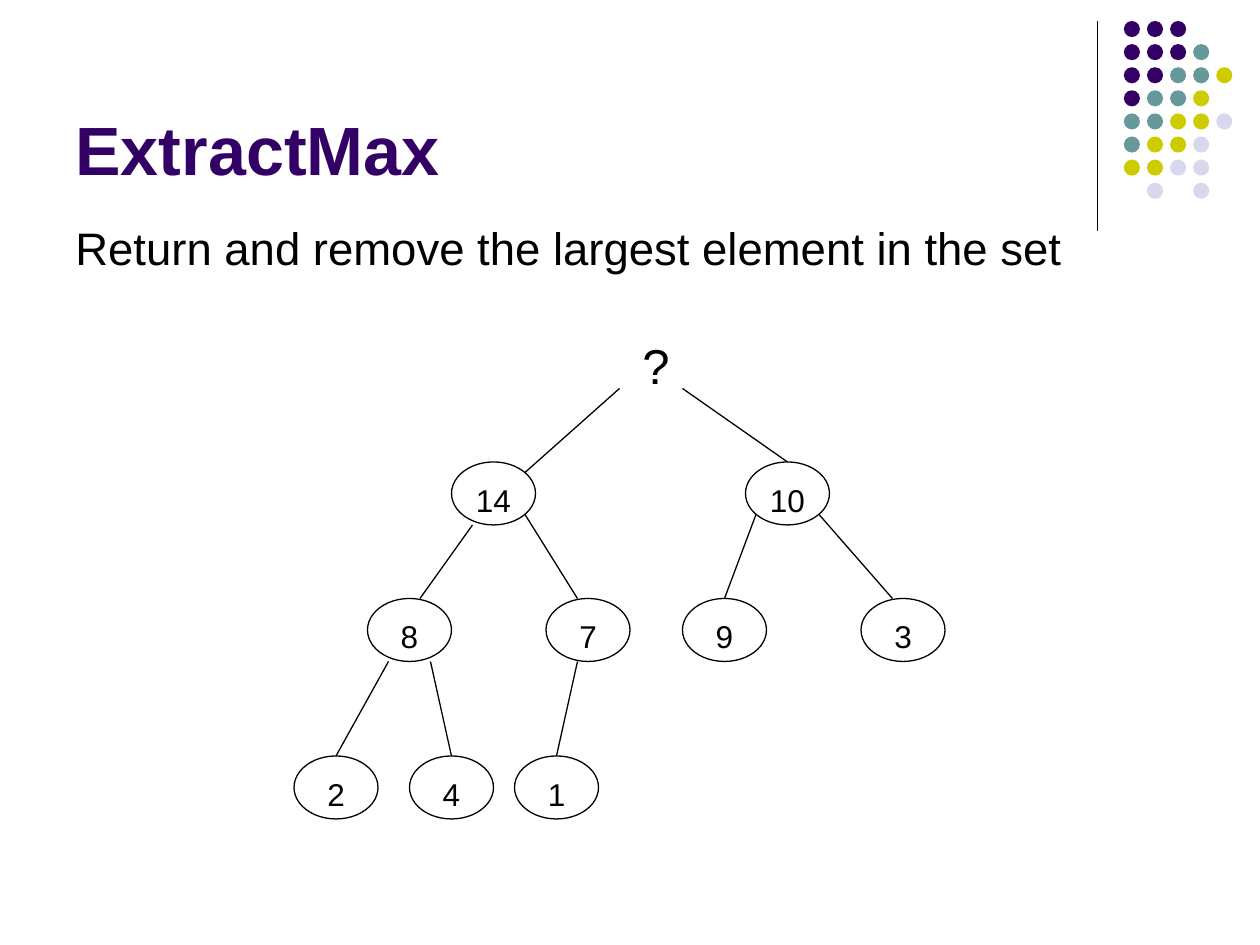
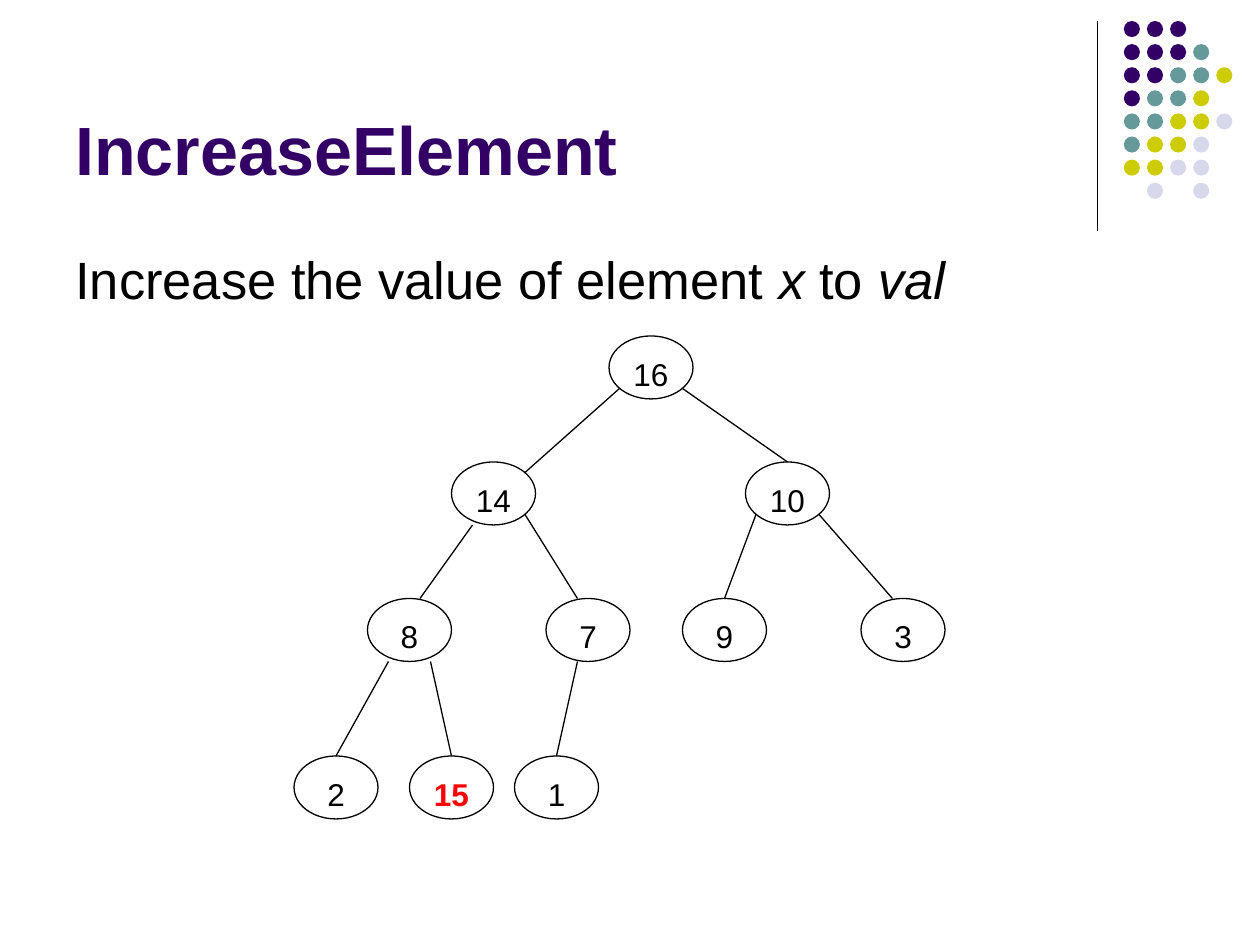
from dataclasses import dataclass

from lxml import etree
from pptx import Presentation
from pptx.dml.color import RGBColor
from pptx.enum.shapes import MSO_CONNECTOR, MSO_SHAPE
from pptx.enum.text import MSO_ANCHOR, PP_ALIGN
from pptx.oxml.ns import qn
from pptx.slide import Slide
from pptx.text.text import TextFrame
from pptx.util import Pt

OVAL = MSO_SHAPE.OVAL
STRAIGHT = MSO_CONNECTOR.STRAIGHT
TOP, MIDDLE, BOTTOM = MSO_ANCHOR.TOP, MSO_ANCHOR.MIDDLE, MSO_ANCHOR.BOTTOM
LEFT, CENTER = PP_ALIGN.LEFT, PP_ALIGN.CENTER


@dataclass(frozen=True)
class Theme:
    font: str = "Arial"
    purple: RGBColor = RGBColor(0x33, 0x00, 0x66)
    teal: RGBColor = RGBColor(0x66, 0x99, 0x99)
    olive: RGBColor = RGBColor(0xCC, 0xCC, 0x00)
    lavender: RGBColor = RGBColor(0xD8, 0xD8, 0xEC)
    ink: RGBColor = RGBColor(0x00, 0x00, 0x00)
    highlight: RGBColor = RGBColor(0xFF, 0x00, 0x00)
    title_size: float = 39
    unknown_size: float = 28
    node_size: float = 18
    line_width: float = 0.75


@dataclass(frozen=True)
class Box:
    left: float
    top: float
    width: float
    height: float

    def lengths(self) -> tuple[Pt, Pt, Pt, Pt]:
        return Pt(self.left), Pt(self.top), Pt(self.width), Pt(self.height)


@dataclass(frozen=True)
class Edge:
    x1: float
    y1: float
    x2: float
    y2: float


@dataclass(frozen=True)
class Phrase:
    text: str
    italic: bool = False


@dataclass(frozen=True)
class HeapSlide:
    title: str
    phrases: list[Phrase]
    phrase_size: float
    phrase_box: Box
    keys: list[str]
    changed: int | None = None


THEME = Theme()
TITLE_BOX = Box(36, 9.6, 639, 102)
UNKNOWN_BOX = Box(360, 186, 54, 41)
DIVIDER = Edge(627, 12, 627, 132)
UNKNOWN = "?"

DOT_ROWS = ["PPP", "PPPT", "PPTTY", "PTTY", "TTYYL", "TYYL", "YYLL", " L L"]
DOT_COLORS = {"P": THEME.purple, "T": THEME.teal,
              "Y": THEME.olive, "L": THEME.lavender}
DOT_LEFT, DOT_TOP, DOT_PITCH, DOT_SIZE = 642.2, 12, 13.2, 9.2

NODE_WIDTH, NODE_HEIGHT = 48, 36
# Top of each tree level, with the left edges of its nodes
LEVELS = {192: [348], 264: [258, 426], 342: [210, 312, 390, 492],
          432: [168, 234, 294]}
NODE_BOXES = [Box(left, top, NODE_WIDTH, NODE_HEIGHT)
              for top, lefts in LEVELS.items() for left in lefts]
EDGES = [
    Edge(354, 222, 300, 270), Edge(390, 222, 450, 264),
    Edge(270, 300, 240, 342), Edge(300, 294, 330, 342),
    Edge(432, 294, 414, 342), Edge(468, 294, 510, 342),
    Edge(222, 378, 192, 432), Edge(246, 378, 258, 432),
    Edge(330, 378, 318, 432),
]

SLIDES = [
    HeapSlide("ExtractMax",
              [Phrase("Return and remove the largest element in the set")],
              26, Box(36, 120, 648, 48),
              [UNKNOWN, "14", "10", "8", "7", "9", "3", "2", "4", "1"]),
    HeapSlide("IncreaseElement",
              [Phrase("Increase the value of element "), Phrase("x", True),
               Phrase(" to "), Phrase("val", True)],
              30, Box(36, 135, 648, 45),
              ["16", "14", "10", "8", "7", "9", "3", "2", "15", "1"],
              changed=8),
]


def write(frame: TextFrame, phrases: list[Phrase], size: float,
          color: RGBColor = THEME.ink, bold: bool = False,
          align: PP_ALIGN = LEFT) -> None:
    paragraph = frame.paragraphs[0]
    paragraph.alignment = align
    for phrase in phrases:
        run = paragraph.add_run()
        run.text = phrase.text
        run.font.name = THEME.font
        run.font.size = Pt(size)
        run.font.color.rgb = color
        run.font.bold = bold
        run.font.italic = phrase.italic


def add_text(slide: Slide, box: Box, phrases: list[Phrase], size: float,
             color: RGBColor = THEME.ink, bold: bool = False,
             anchor: MSO_ANCHOR = TOP) -> None:
    frame = slide.shapes.add_textbox(*box.lengths()).text_frame
    frame.word_wrap = True
    frame.vertical_anchor = anchor
    if anchor == TOP:
        frame.margin_top = Pt(6)
    write(frame, phrases, size, color, bold)


def add_line(slide: Slide, edge: Edge) -> None:
    line = slide.shapes.add_connector(
        STRAIGHT, Pt(edge.x1), Pt(edge.y1), Pt(edge.x2), Pt(edge.y2))
    line.line.color.rgb = THEME.ink
    line.line.width = Pt(THEME.line_width)
    etree.SubElement(line._element.spPr, qn("a:effectLst"))


def add_dots(slide: Slide) -> None:
    dots = slide.shapes.add_group_shape()
    for row, codes in enumerate(DOT_ROWS):
        for column, code in enumerate(codes):
            if code not in DOT_COLORS:
                continue
            box = Box(DOT_LEFT + column * DOT_PITCH, DOT_TOP + row * DOT_PITCH,
                      DOT_SIZE, DOT_SIZE)
            dot = dots.shapes.add_shape(OVAL, *box.lengths())
            dot.shadow.inherit = False
            dot.fill.solid()
            dot.fill.fore_color.rgb = DOT_COLORS[code]
            dot.line.fill.background()


def add_node(slide: Slide, box: Box, key: str, changed: bool) -> None:
    node = slide.shapes.add_shape(OVAL, *box.lengths())
    node.shadow.inherit = False
    node.fill.background()
    node.line.color.rgb = THEME.ink
    node.line.width = Pt(THEME.line_width)
    frame = node.text_frame
    frame.word_wrap = False
    frame.vertical_anchor = MIDDLE
    frame.margin_left = frame.margin_right = frame.margin_bottom = 0
    frame.margin_top = Pt(7)
    write(frame, [Phrase(key)], THEME.node_size,
          THEME.highlight if changed else THEME.ink, changed, CENTER)


def add_heap(slide: Slide, keys: list[str], changed: int | None) -> None:
    """Draw the heap level by level; an unknown key is shown without a ring."""
    for edge in EDGES:
        add_line(slide, edge)
    for index, (box, key) in enumerate(zip(NODE_BOXES, keys)):
        if key == UNKNOWN:
            add_text(slide, UNKNOWN_BOX, [Phrase(key)], THEME.unknown_size)
        else:
            add_node(slide, box, key, index == changed)


def main() -> None:
    deck = Presentation()
    deck.slide_width, deck.slide_height = Pt(720), Pt(540)
    blank = deck.slide_layouts[6]
    for content in SLIDES:
        slide = deck.slides.add_slide(blank)
        add_line(slide, DIVIDER)
        add_dots(slide)
        add_text(slide, TITLE_BOX, [Phrase(content.title)], THEME.title_size,
                 THEME.purple, bold=True, anchor=BOTTOM)
        add_text(slide, content.phrase_box, content.phrases,
                 content.phrase_size)
        add_heap(slide, content.keys, content.changed)
    deck.save("out.pptx")


if __name__ == "__main__":
    main()
